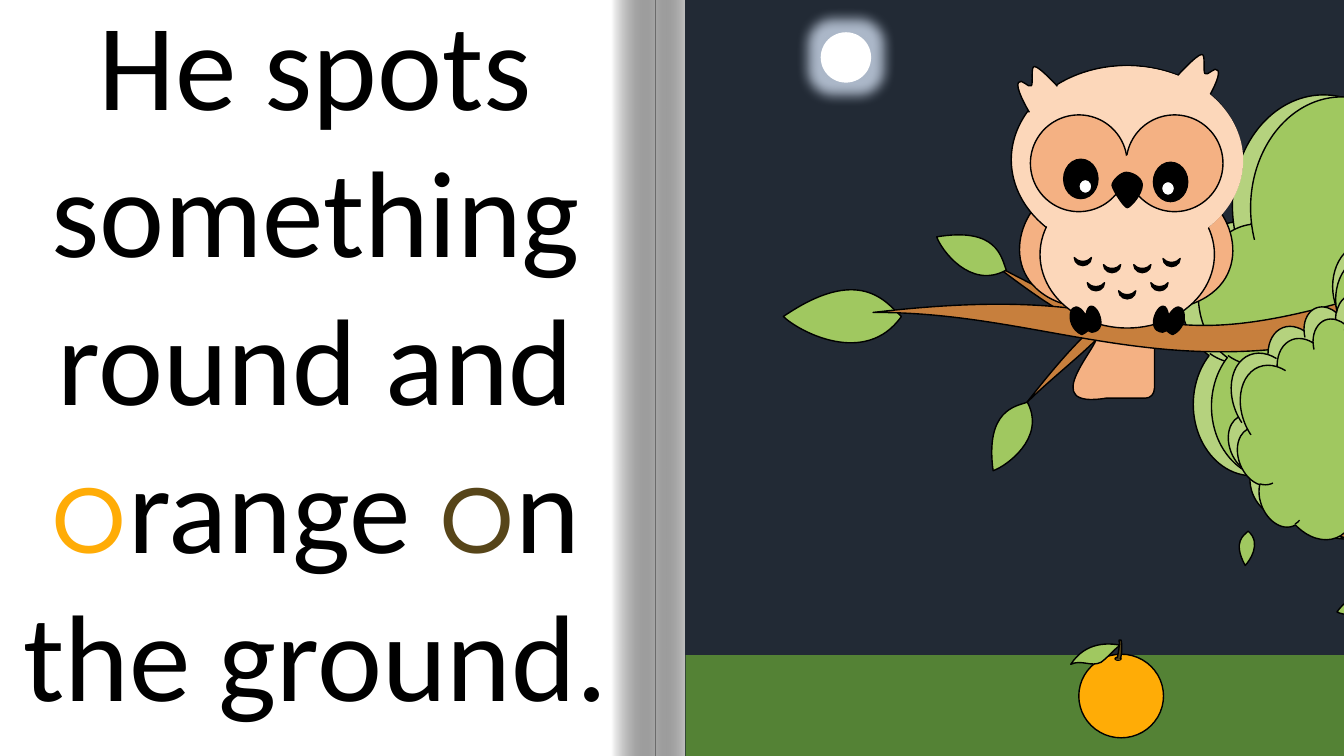
from dataclasses import dataclass

from lxml.etree import SubElement
from pptx import Presentation
from pptx.dml.color import RGBColor
from pptx.enum.shapes import MSO_SHAPE
from pptx.enum.text import MSO_AUTO_SIZE, PP_ALIGN
from pptx.oxml.ns import qn
from pptx.util import Emu, Pt

PX = 9144  # 100 px to the inch
PAGE_WIDTH, PAGE_HEIGHT = 1333, 750
CURVE_STEPS = 16


@dataclass(frozen=True)
class Theme:
    black: str = "000000"
    white: str = "FFFFFF"
    night: str = "222A35"
    glow: str = "ADB9CA"
    grass: str = "548235"
    leaf: str = "A0C860"
    pale_leaf: str = "B5D27E"
    wood: str = "C77F3D"
    feather: str = "FCD7BA"
    wing: str = "F4B183"
    orange: str = "FFAC06"
    brown: str = "574519"
    body_font: str = "Calibri"
    letter_font: str = "Montserrat"
    story_size: int = 88
    outline: int = 1


THEME = Theme()

TAIL = [(1088, 334), (1088, 328, 1092, 324, 1097, 324), (1136, 324),
        (1141, 324, 1145, 328, 1145, 334), (1145, 385),
        (1145, 391, 1141, 395, 1136, 395), (1097, 395),
        (1029, 406, 1088, 346, 1088, 334)]
TRUNK = [(1453, 368), (1544, 368), (1564, 374, 1534, 500, 1543, 513),
         (1553, 525, 1589, 452, 1601, 442), (1614, 432, 1588, 491, 1594, 495),
         (1601, 498, 1654, 409, 1641, 462), (1478, 617, 1560, 665, 1544, 775),
         (1400, 775), (1392, 781, 1501, 569, 1320, 530),
         (1311, 483, 1332, 489, 1345, 489), (1350, 449, 1431, 557, 1427, 533),
         (1423, 510, 1390, 416, 1399, 418), (1410, 407, 1438, 521, 1450, 510)]
FALLING_LEAVES = [
    [(1326, 607), (1342, 586, 1352, 594, 1358, 597), (1352, 614, 1330, 610, 1326, 607)],
    [(1235, 561), (1222, 537, 1234, 531, 1238, 527), (1252, 539, 1239, 557, 1235, 561)],
]
TWIGS = [
    [(984, 261), (1013, 278, 1063, 300, 1085, 316), (1084, 317, 1078, 319, 1078, 321),
     (1051, 313, 1000, 273, 984, 261)],
    [(1017, 401), (1040, 377, 1084, 344, 1100, 323), (1099, 322, 1093, 321, 1092, 320),
     (1069, 334, 1029, 386, 1017, 401)],
]
TIP_LEAF = [(777, 314), (853, 262, 879, 300, 894, 314), (858, 365, 791, 328, 777, 314)]
BRANCH = [(866, 310), (1190, 272, 1095, 386, 1434, 267), (1434, 280, 1429, 293, 1433, 306),
          (1179, 401, 1055, 309, 866, 310)]
TWIG_LEAVES = [
    [(985, 467), (977, 407, 1007, 403, 1019, 399), (1038, 435, 997, 463, 985, 467)],
    [(929, 235), (989, 225, 993, 255, 998, 268), (962, 288, 933, 247, 929, 235)],
]
WING = [(1053, 301), (1053, 188), (1011, 198, 985, 277, 1053, 301)]
FOOT = [(1150, 329), (1134, 324, 1155, 287, 1159, 313), (1174, 289, 1183, 323, 1163, 332),
        (1161, 332, 1159, 329, 1157, 328), (1154, 329, 1152, 331, 1150, 329)]
EAR = [(1022, 113), (1018, 107, 1007, 87, 1010, 82), (1013, 77, 1020, 88, 1023, 85),
       (1025, 82, 1022, 66, 1026, 66), (1031, 66, 1050, 87, 1050, 87)]
BEAK = [(1103, 184), (1103, 179, 1112, 171, 1117, 171), (1122, 171, 1132, 175, 1133, 183),
        (1133, 193, 1121, 206, 1118, 206), (1115, 206, 1104, 189, 1103, 184)]
FEATHER_MARKS = [(1129, 258), (1099, 258), (1070, 251), (1082, 231), (1114, 237),
                 (1146, 231), (1158, 252), (1146, 276), (1114, 284), (1083, 276)]
ORANGE_LEAF = [(1062, 659), (1077, 636, 1100, 638, 1111, 640), (1104, 645, 1099, 652, 1092, 657),
               (1082, 662, 1073, 654, 1062, 659)]
ORANGE_STEM = [(1110, 635), (1112, 635), (1113, 639, 1113, 650, 1111, 654), (1108, 654),
               (1109, 648, 1111, 640, 1110, 635)]


def paint(shape, fill, line):
    shape.shadow.inherit = False
    shape.fill.solid()
    shape.fill.fore_color.rgb = RGBColor.from_string(fill)
    if line:
        shape.line.color.rgb = RGBColor.from_string(line)
        shape.line.width = Pt(THEME.outline)
    else:
        shape.line.fill.background()


def add_preset(shapes, kind, box, fill, line=None, turn=0):
    shape = shapes.add_shape(kind, *(Emu(length * PX) for length in box))
    paint(shape, fill, line)
    shape.rotation = turn
    return shape


def add_ellipse(shapes, box, fill, line=THEME.black, turn=0):
    return add_preset(shapes, MSO_SHAPE.OVAL, box, fill, line, turn)


def curve_bounds(outline):
    """Give left, top, right and bottom of an outline of corners (pairs) and cubics (sixes)."""
    points = [outline[0]]
    for segment in outline[1:]:
        knots = [points[-1], *zip(segment[::2], segment[1::2])]
        for step in range(1, CURVE_STEPS + 1):
            t = step / CURVE_STEPS
            weights = ((1 - t) ** 3, 3 * t * (1 - t) ** 2, 3 * t * t * (1 - t), t ** 3)
            if len(segment) == 2:
                weights = (1 - t, t)
            points.append(tuple(sum(w * knot[axis] for w, knot in zip(weights, knots))
                                for axis in (0, 1)))
    return [round(pick(axis) * PX) for pick in (min, max) for axis in zip(*points)]


def add_outline(shapes, outline, fill, close=True):
    left, top, right, bottom = curve_bounds(outline)
    builder = shapes.build_freeform(left, top)
    builder.add_line_segments([(right, bottom)], close=False)
    shape = builder.convert_to_shape()
    trace = next(shape._element.spPr.iter(qn("a:path")))
    for child in list(trace):
        trace.remove(child)
    for index, segment in enumerate(outline):
        tag = "a:cubicBezTo" if len(segment) == 6 else "a:lnTo" if index else "a:moveTo"
        step = SubElement(trace, qn(tag))
        for x, y in zip(segment[::2], segment[1::2]):
            SubElement(step, qn("a:pt"), x=str(x * PX - left), y=str(y * PX - top))
    if close:
        SubElement(trace, qn("a:close"))
    paint(shape, fill, THEME.black)


def mirror(outline, axis_sum, drop=0):
    """Reflect across x = axis_sum / 2 and move down by drop."""
    return [tuple(value + drop if i % 2 else axis_sum - value
                  for i, value in enumerate(segment)) for segment in outline]


def add_cloud_pair(shapes, back, shift, turn=0):
    left, top, width, height = back
    front = (left + shift[0], top + shift[1], width, height)
    for box, fill in ((back, THEME.pale_leaf), (front, THEME.leaf)):
        add_preset(shapes, MSO_SHAPE.CLOUD, box, fill, THEME.black, turn)


def add_gutter(shapes, left, angle):
    """Add a strip that shades from white to see-through black."""
    strip = add_preset(shapes, MSO_SHAPE.RECTANGLE, (left, 0, 43, PAGE_HEIGHT), THEME.white)
    strip.fill.gradient()
    strip.fill.gradient_angle = angle
    for stop, color in zip(strip.fill.gradient_stops, (THEME.white, THEME.black)):
        stop.color.rgb = RGBColor.from_string(color)
    shade = list(strip._element.spPr.iter(qn("a:srgbClr")))[1]
    SubElement(shade, qn("a:alpha"), val="34000")


def add_story(shapes):
    box = shapes.add_textbox(*(Emu(length * PX) for length in (-4, -18, 634, 751)))
    box.text_frame.word_wrap = True
    box.text_frame.auto_size = MSO_AUTO_SIZE.SHAPE_TO_FIT_TEXT
    para = box.text_frame.paragraphs[0]
    para.alignment = PP_ALIGN.CENTER
    for text, font, color in (
            ("He spots something round and ", THEME.body_font, THEME.black),
            ("o", THEME.letter_font, THEME.orange),
            ("range ", THEME.body_font, THEME.black),
            ("o", THEME.letter_font, THEME.brown),
            ("n the ground.", THEME.body_font, THEME.black)):
        span = para.add_run()
        span.text = text
        span.font.name = font
        span.font.size = Pt(THEME.story_size)
        span.font.color.rgb = RGBColor.from_string(color)


def add_tree(shapes):
    add_cloud_pair(shapes, (1171, 47, 578, 517), (18, 2))
    for outline, fill in ((TRUNK, THEME.wood),
                          *((leaf, THEME.leaf) for leaf in FALLING_LEAVES),
                          *((twig, THEME.wood) for twig in TWIGS),
                          (TIP_LEAF, THEME.leaf), (BRANCH, THEME.wood),
                          *((leaf, THEME.leaf) for leaf in TWIG_LEAVES)):
        add_outline(shapes, outline, fill)
    add_cloud_pair(shapes, (1322, 142, 294, 301), (3, 13))
    add_cloud_pair(shapes, (1216, 306, 214, 218), (9, 12), 338.5)


def add_moon(shapes):
    moon = add_ellipse(shapes, (814, 32, 50, 50), THEME.white, None)
    effects = moon._element.spPr.find(qn("a:effectLst"))
    glow = SubElement(effects, qn("a:glow"), rad=str(25 * PX))
    SubElement(glow, qn("a:srgbClr"), val=THEME.glow)


def add_owl(shapes):
    for outline in (WING, mirror(WING, 2234, 1)):
        add_outline(shapes, outline, THEME.wing)
    add_ellipse(shapes, (1003, 65, 229, 187), THEME.feather)
    add_ellipse(shapes, (1045, 166, 146, 173), THEME.feather, turn=90)
    for outline in (FOOT, mirror(FOOT, 2236)):
        add_outline(shapes, outline, THEME.black)
    for left, top in FEATHER_MARKS:
        mark = add_preset(shapes, MSO_SHAPE.MOON, (left, top, 8, 17), THEME.black, THEME.black, 270)
        mark.adjustments[0] = 0.52
    for outline in (EAR, mirror(EAR, 2218, -12)):
        add_outline(shapes, outline, THEME.feather, close=False)
    add_ellipse(shapes, (1005, 66, 228, 186), THEME.feather, None)
    for left in (1022, 1117):
        add_ellipse(shapes, (left, 114, 96, 96), THEME.wing)
    for pupil, glint in (((1055, 158), (1070, 178)), ((1144, 161), (1152, 180))):
        add_ellipse(shapes, (*pupil, 34, 39), THEME.black)
        add_ellipse(shapes, (*glint, 13, 14), THEME.white)
    add_ellipse(shapes, (1112, 154, 13, 23), THEME.wing, None)
    add_outline(shapes, BEAK, THEME.black)


def add_orange(shapes):
    add_ellipse(shapes, (1070, 649, 84, 83), THEME.orange)
    add_outline(shapes, ORANGE_LEAF, THEME.leaf)
    add_ellipse(shapes, (1106, 652, 6, 3), THEME.brown)
    add_outline(shapes, ORANGE_STEM, THEME.brown)
    add_ellipse(shapes, (1107, 653, 4, 2), THEME.brown, None)


def main():
    deck = Presentation()
    deck.slide_width, deck.slide_height = Emu(PAGE_WIDTH * PX), Emu(PAGE_HEIGHT * PX)
    page = deck.slides.add_slide(deck.slide_layouts[6])
    page.background.fill.solid()
    page.background.fill.fore_color.rgb = RGBColor.from_string(THEME.black)
    shapes = page.shapes
    book = shapes.add_group_shape().shapes
    add_preset(book, MSO_SHAPE.RECTANGLE, (-1, 0, 1347, PAGE_HEIGHT), THEME.white)
    add_gutter(book, 650, 180)
    add_gutter(book, 607, 0)
    add_preset(shapes, MSO_SHAPE.RECTANGLE, (680, 0, 666, 775), THEME.night, THEME.night)
    add_story(shapes)
    add_outline(shapes, TAIL, THEME.wing)
    add_tree(shapes.add_group_shape().shapes)
    add_moon(shapes)
    add_preset(shapes, MSO_SHAPE.RECTANGLE, (680, 650, 666, 174), THEME.grass)
    add_owl(shapes.add_group_shape().shapes)
    add_orange(shapes.add_group_shape().shapes)
    deck.save("out.pptx")


if __name__ == "__main__":
    main()
